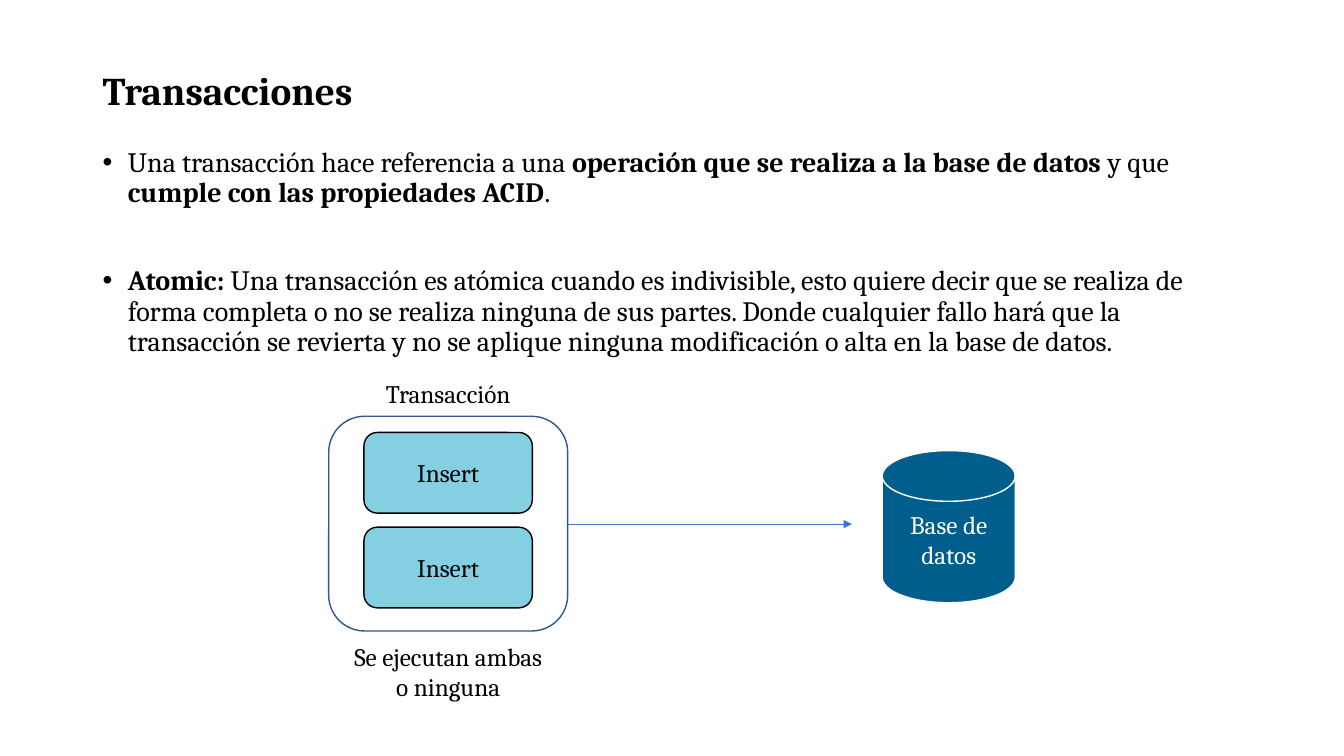
import pptx
import pptx.util
import pptx.dml.color
import pptx.enum.shapes
import pptx.enum.text
import pptx.oxml.ns
from lxml import etree

RGBColor = pptx.dml.color.RGBColor
SHAPE = pptx.enum.shapes.MSO_SHAPE
ALIGN = pptx.enum.text.PP_ALIGN
ANCHOR = pptx.enum.text.MSO_ANCHOR
qn = pptx.oxml.ns.qn
Pt = pptx.util.Pt

BLACK = RGBColor(0x00, 0x00, 0x00)
WHITE = RGBColor(0xFF, 0xFF, 0xFF)
SKY = RGBColor(0x84, 0xCF, 0xE1)
NAVY = RGBColor(0x32, 0x54, 0x91)
BLUE = RGBColor(0x44, 0x72, 0xC4)
TEAL = RGBColor(0x00, 0x5E, 0x8C)


class Board:
    """Holds the style and the slide; lengths are percentages of its size."""

    font = "Cambria"

    def __init__(self, prs):
        self.width, self.height = prs.slide_width, prs.slide_height
        self.s = prs.slides.add_slide(prs.slide_layouts[6])

    def x(self, share):
        return round(self.width * share / 100)

    def y(self, share):
        return round(self.height * share / 100)

    def box(self, left, top, width, height):
        return self.x(left), self.y(top), self.x(width), self.y(height)

    def fill_paragraph(self, p, runs, size, color=BLACK, **para):
        for name, value in para.items():
            setattr(p, name, value)
        for text, bold in runs:
            r = p.add_run()
            r.text = text
            style = {"name": self.font, "size": Pt(size), "bold": bold}
            for name, value in style.items():
                setattr(r.font, name, value)
            r.font.color.rgb = color

    def text(self, place, runs, size, anchor=ANCHOR.TOP, **para):
        tf = self.s.shapes.add_textbox(*self.box(*place)).text_frame
        tf.word_wrap = True
        tf.vertical_anchor = anchor
        self.fill_paragraph(tf.paragraphs[0], runs, size, **para)

    def bullets(self, place, items, size, gap):
        tf = self.s.shapes.add_textbox(*self.box(*place)).text_frame
        tf.word_wrap = True
        for i, runs in enumerate(items):
            p = tf.add_paragraph() if i else tf.paragraphs[0]
            self.fill_paragraph(p, runs, size, line_spacing=0.9,
                                space_before=Pt(gap if i else 0))
            ppr = p._p.get_or_add_pPr()
            indent = pptx.util.Inches(0.25)
            ppr.set("marL", str(indent))
            ppr.set("indent", str(-indent))
            etree.SubElement(ppr, qn("a:buFont")).set("typeface", "Arial")
            etree.SubElement(ppr, qn("a:buChar")).set("char", "•")

    def shape(self, kind, place, line, fill=None, label=None, color=BLACK):
        sp = self.s.shapes.add_shape(kind, *self.box(*place))
        sp.shadow.inherit = False
        if fill is None:
            sp.fill.background()
        else:
            sp.fill.solid()
            sp.fill.fore_color.rgb = fill
        sp.line.color.rgb = line
        sp.line.width = Pt(1)
        if label:
            tf = sp.text_frame
            tf.word_wrap = True
            tf.vertical_anchor = ANCHOR.MIDDLE
            self.fill_paragraph(tf.paragraphs[0], [(label, False)], 18, color,
                                alignment=ALIGN.CENTER)

    def arrow(self, start, end, level):
        sp = self.s.shapes.add_connector(
            pptx.enum.shapes.MSO_CONNECTOR.STRAIGHT,
            self.x(start), self.y(level), self.x(end), self.y(level))
        sp.line.color.rgb = BLUE
        sp.line.width = Pt(0.5)
        props = sp._element.spPr
        etree.SubElement(props.find(qn("a:ln")), qn("a:tailEnd")).set("type", "triangle")
        etree.SubElement(props, qn("a:effectLst"))


def main():
    prs = pptx.Presentation()
    prs.slide_width = pptx.util.Inches(13.33)
    prs.slide_height = pptx.util.Inches(7.5)
    board = Board(prs)

    # Title and explanation
    board.text((6.9, 7.07, 86.27, 10.4), [("Transacciones", True)], 28,
               ANCHOR.MIDDLE, line_spacing=0.9)
    board.bullets((6.9, 18.93, 86.27, 29.73), [
        [("Una transacción hace referencia a una ", False),
         ("operación que se realiza a la base de datos ", True),
         ("y que ", False),
         ("cumple con las propiedades ACID", True),
         (".", False)],
        [("Atomic: ", True),
         ("Una transacción es atómica cuando es indivisible, esto quiere decir "
          "que se realiza de forma completa o no se realiza ninguna de sus partes. "
          "Donde cualquier fallo hará que la transacción se revierta y no se "
          "aplique ninguna modificación o alta en la base de datos.", False)],
    ], size=20, gap=41.5)

    # Transaction with its two inserts
    for row in range(2):
        board.shape(SHAPE.ROUNDED_RECTANGLE, (27.08, 57.2 + 12.53 * row, 12.53, 10.67),
                    BLACK, SKY, "Insert")
    board.shape(SHAPE.ROUNDED_RECTANGLE, (24.46, 55.07, 17.78, 28.4), NAVY)

    # Arrow to the database
    board.arrow(42.24, 63.39, 69.33)
    board.shape(SHAPE.FLOWCHART_MAGNETIC_DISK, (65.64, 59.6, 9.9, 20.13),
                WHITE, TEAL, "Base de datos", WHITE)

    # Captions above and below the transaction
    for top, height, caption in ((49.33, 5.33, "Transacción"),
                                 (84.13, 9.47, "Se ejecutan ambas o ninguna")):
        board.text((25.51, top, 15.68, height), [(caption, False)], 18,
                   alignment=ALIGN.CENTER)

    prs.save("out.pptx")


if __name__ == "__main__":
    main()
